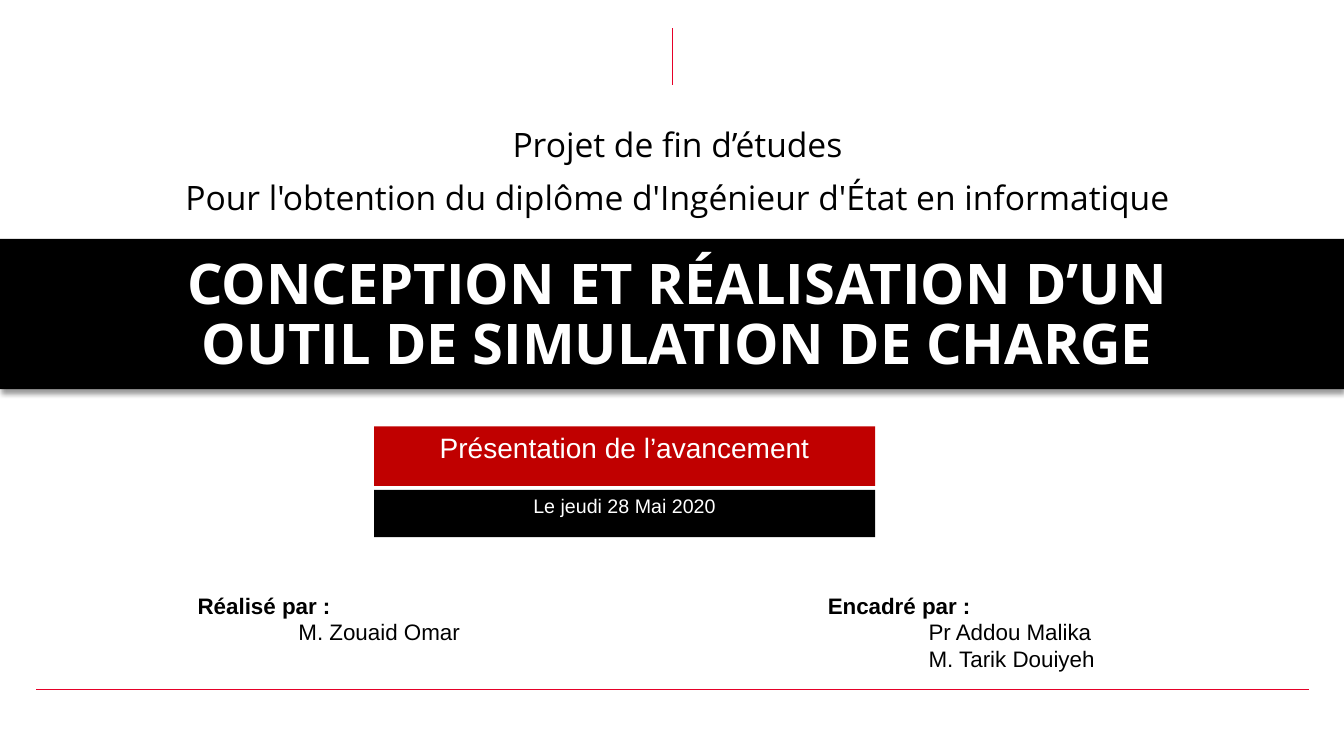
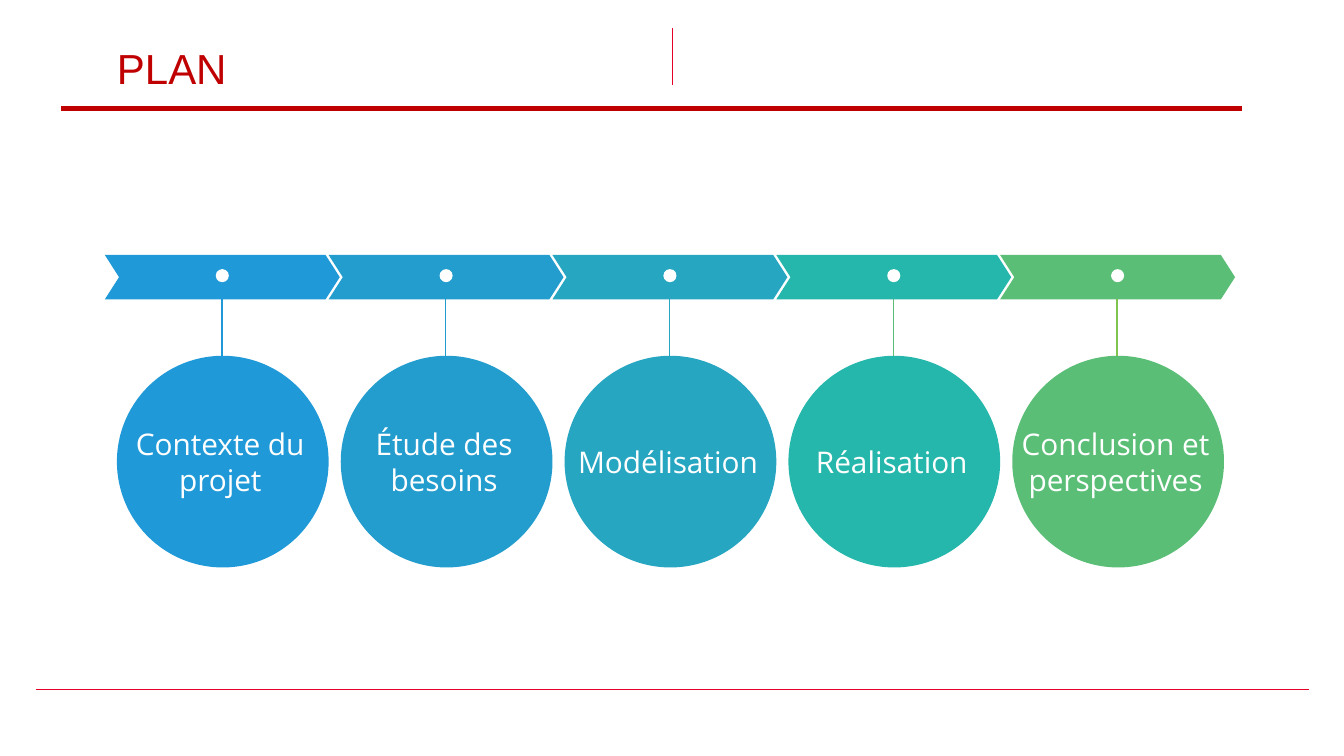
from lxml.etree import SubElement
from pptx import Presentation
from pptx.dml.color import RGBColor
from pptx.enum.shapes import MSO_CONNECTOR as Connector, MSO_SHAPE as Shape
from pptx.enum.text import MSO_ANCHOR as Anchor, PP_ALIGN as Align
from pptx.oxml.ns import qn
from pptx.util import Inches, Pt

BLACK, WHITE, RED, ACCENT = "000000", "FFFFFF", "C00000", "E60028"
DISPLAY_FONT, BODY_FONT = "Open Sans", "Arial"


def rgb(value):
    return RGBColor.from_string(value)


class Deck:
    """Holds the shared style and the current slide."""

    def __init__(self):
        self.presentation = Presentation()
        self.presentation.slide_width = Inches(13.33)
        self.presentation.slide_height = Inches(7.5)
        self.slide = None

    def add_slide(self):
        layout = self.presentation.slide_layouts[6]
        self.slide = self.presentation.slides.add_slide(layout)
        self.line(6.67, 0.84, 6.67, 0.28, ACCENT, 1)
        self.line(12.98, 6.84, 0.36, 6.84, ACCENT, 0.5)

    def line(self, x1, y1, x2, y2, color, width):
        connector = self.slide.shapes.add_connector(
            Connector.STRAIGHT, Inches(x1), Inches(y1), Inches(x2), Inches(y2))
        connector.line.color.rgb = rgb(color)
        connector.line.width = Pt(width)
        SubElement(connector._element.spPr, qn("a:effectLst"))

    def shape(self, kind, left, top, width, height, color):
        shape = self.slide.shapes.add_shape(
            kind, Inches(left), Inches(top), Inches(width), Inches(height))
        shape.shadow.inherit = False
        shape.fill.solid()
        shape.fill.fore_color.rgb = rgb(color)
        shape.line.fill.background()
        return shape

    def drop_shadow(self, shape):
        effects = shape._element.spPr.find(qn("a:effectLst"))
        shadow = SubElement(effects, qn("a:outerShdw"), blurRad=str(Pt(4)),
                            dist=str(Pt(3)), dir="5400000", rotWithShape="0")
        color = SubElement(shadow, qn("a:srgbClr"), val=BLACK)
        SubElement(color, qn("a:alpha"), val="40000")

    def text_box(self, left, top, width, height):
        return self.slide.shapes.add_textbox(
            Inches(left), Inches(top), Inches(width), Inches(height))

    def add_text(self, shape, lines, size, color, font=BODY_FONT, align=Align.LEFT,
                 anchor=Anchor.TOP, insets=(0.04, 0.04), spacing=1, gap=0,
                 bold_first=False, indent=0):
        frame = shape.text_frame
        frame.word_wrap = True
        frame.vertical_anchor = anchor
        frame.margin_left = frame.margin_right = Inches(insets[0])
        frame.margin_top = frame.margin_bottom = Inches(insets[1])
        for index, line in enumerate(lines):
            paragraph = frame.add_paragraph() if index else frame.paragraphs[0]
            paragraph.alignment = align
            paragraph.line_spacing = spacing
            if index:
                paragraph.space_before = Pt(gap)
                properties = paragraph._p.get_or_add_pPr()
                properties.set("marL", str(Inches(indent)))
            run = paragraph.add_run()
            run.text = line
            run.font.name = font
            run.font.size = Pt(size)
            run.font.bold = bold_first and index == 0
            run.font.color.rgb = rgb(color)

    def heading(self, title):
        box = self.text_box(1.16, 0.05, 11.71, 0.88)
        self.add_text(box, [title], 30, RED, anchor=Anchor.BOTTOM,
                      insets=(0, 0), spacing=0.9)
        self.line(0.61, 1.08, 12.32, 1.08, RED, 3.5)

    def banner(self, top, height, color, text, size):
        bar = self.shape(Shape.RECTANGLE, 3.71, top, 4.97, height, color)
        self.add_text(bar, [text], size, WHITE, align=Align.CENTER)

    def credits(self, left, width, role, names):
        box = self.text_box(left, 5.83, width, 1.01)
        self.add_text(box, [role, *names], 16, BLACK, bold_first=True, indent=1)

    def step(self, left, label, color, stem_color):
        chevron = self.shape(Shape.CHEVRON, left, 2.53, 2.33, 0.44, color)
        chevron.adjustments[0] = 0.32
        self.shape(Shape.OVAL, left + 1.1, 2.67, 0.13, 0.13, WHITE)
        self.shape(Shape.OVAL, left + 0.12, 3.53, 2.1, 2.1, color)
        self.line(left + 1.16, 3.53, left + 1.16, 2.97, stem_color, 1)
        box = self.text_box(left + 0.06, 4.17, 2.17, 0.82)
        self.add_text(box, [label], 21.3, WHITE, DISPLAY_FONT, Align.CENTER,
                      Anchor.MIDDLE, insets=(0.1, 0.05))


def build_cover(deck):
    deck.add_slide()
    band = deck.shape(Shape.RECTANGLE, 0, 2.37, 13.33, 1.49, BLACK)
    deck.drop_shadow(band)
    title = deck.text_box(0.74, 2.25, 11.95, 1.62)
    deck.add_text(title, ["CONCEPTION ET RÉALISATION D’UN OUTIL DE SIMULATION DE CHARGE"],
                  40, WHITE, DISPLAY_FONT, Align.CENTER, Anchor.BOTTOM,
                  insets=(0.27, 0.13), spacing=0.9, bold_first=True)
    purpose = deck.shape(Shape.RECTANGLE, 1.72, 1.15, 10, 1.09, WHITE)
    deck.add_text(purpose, ["Projet de fin d’études",
                            "Pour l'obtention du diplôme d'Ingénieur d'État en informatique"],
                  24, BLACK, DISPLAY_FONT, Align.CENTER, Anchor.MIDDLE,
                  insets=(0.1, 0), gap=9)
    deck.banner(4.23, 0.59, RED, "Présentation de l’avancement", 20)
    deck.banner(4.86, 0.47, BLACK, "Le jeudi 28 Mai 2020", 14)
    deck.credits(1.92, 2.81, "Réalisé par :", ["M. Zouaid Omar"])
    deck.credits(8.17, 3.24, "Encadré par :", ["Pr Addou Malika", "M. Tarik Douiyeh"])


def build_plan(deck):
    deck.add_slide()
    deck.heading("PLAN")
    steps = [
        ("Contexte du projet", "2099D8", "2099D8"),
        ("Étude des besoins", "239CCE", "239CCE"),
        ("Modélisation", "27A6C2", "27A6C2"),
        ("Réalisation", "25B7AB", "5BBE77"),
        ("Conclusion et perspectives", "5BBE77", "7EC44E"),
    ]
    for index, (label, color, stem_color) in enumerate(steps):
        deck.step(1.04 + 2.22 * index, label, color, stem_color)


def main():
    deck = Deck()
    build_cover(deck)
    build_plan(deck)
    deck.presentation.save("out.pptx")


if __name__ == "__main__":
    main()
